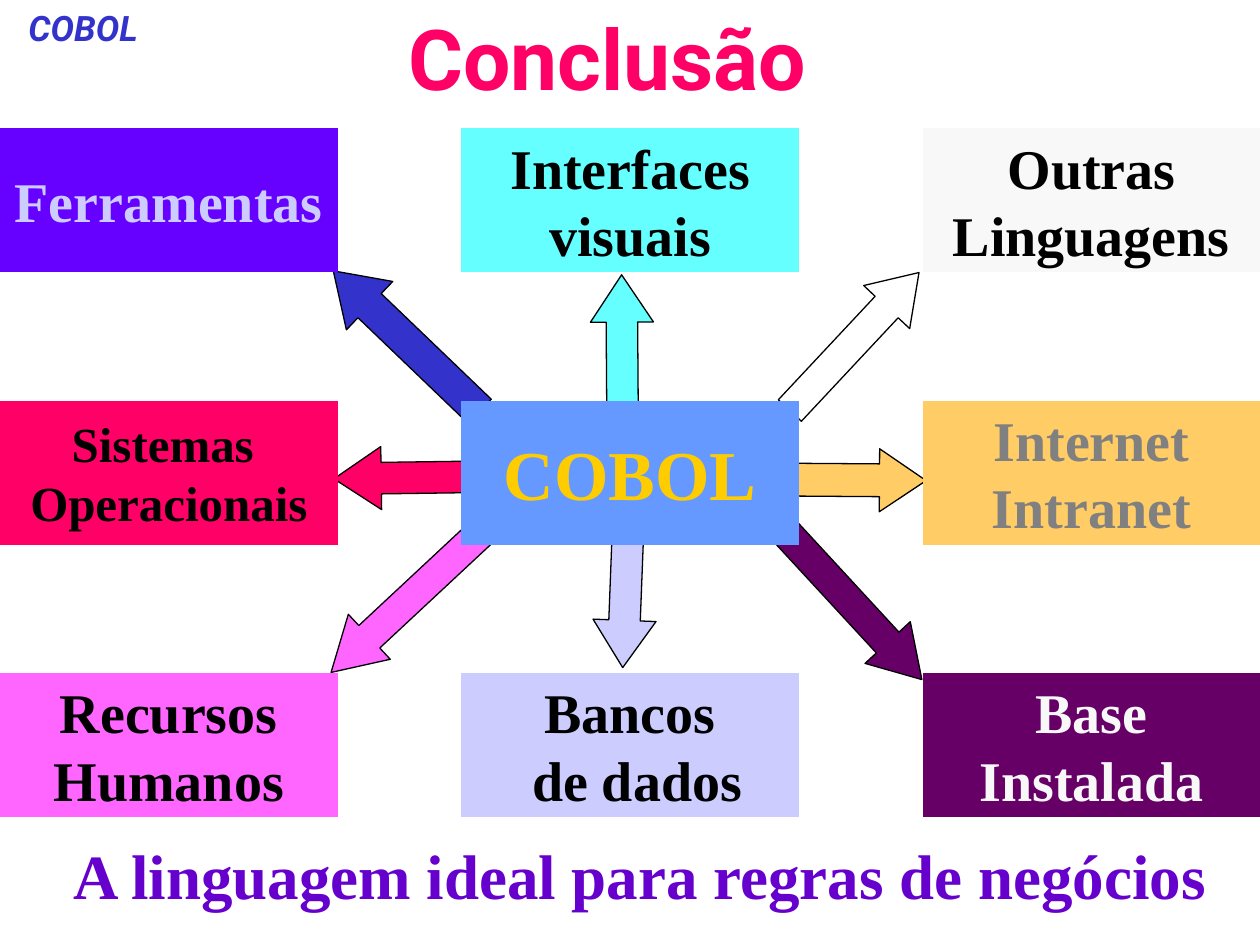
from pptx import Presentation
from pptx.dml.color import RGBColor
from pptx.enum.shapes import MSO_SHAPE
from pptx.enum.text import MSO_ANCHOR, MSO_AUTO_SIZE, PP_ALIGN
from pptx.util import Cm, Pt

HUES = {
    "black": "000000", "white": "FFFFFF", "pale": "F8F8F8", "gray": "808080",
    "sky": "6699FF", "gold": "FFCC00", "violet": "6600FF", "lilac": "CCCCFF",
    "cyan": "66FFFF", "red": "FF0066", "orange": "FFCC66", "pink": "FF66FF",
    "plum": "660066", "blue": "3333CC", "purple": "6600CC",
}
SERIF = "Times New Roman"
SANS = "Roboto"

WIDE, HIGH = 6.81, 2.9
TOP = 2.59
STEP_X, STEP_Y = 9.3, 5.49

ARROWS = [
    (6.1, 11.48, 4.27, 1.24, 137, 0.5, 0.85, "pink"),
    (10.72, 10.92, 3.81, 1.27, 92.2, 0.5, 0.75, "lilac"),
    (15.11, 11.56, 4.14, 1.24, 47.3, 0.5, 0.82, "plum"),
    (14.86, 9.04, 3.81, 1.27, 0.4, 0.52, 0.74, "orange"),
    (6.73, 8.99, 3.81, 1.27, 179.2, 0.5, 0.75, "red"),
    (15.32, 6.25, 3.81, 1.27, 313.1, 0.5, 0.75, "white"),
    (10.64, 6.81, 3.81, 1.27, 269.6, 0.5, 0.75, "cyan"),
    (6.15, 6.2, 4.09, 1.35, 223.8, 0.5, 0.75, "blue"),
]

BOXES = [
    (1, 1, ["COBOL"], 40, "sky", "gold"),
    (0, 0, ["Ferramentas"], 32, "violet", "lilac"),
    (1, 0, ["Interfaces", "visuais"], 32, "cyan", "black"),
    (2, 0, ["Outras", "Linguagens"], 32, "pale", "black"),
    (0, 1, ["Sistemas ", "Operacionais"], 28, "red", "black"),
    (2, 1, ["Internet", "Intranet"], 32, "orange", "gray"),
    (0, 2, ["Recursos", "Humanos"], 32, "pink", "black"),
    (1, 2, ["Bancos", " de dados"], 32, "lilac", "black"),
    (2, 2, ["Base", "Instalada"], 32, "plum", "pale"),
]


def color(name):
    return RGBColor.from_string(HUES[name])


def write(frame, lines, size, hue, face=SERIF, align=PP_ALIGN.CENTER, slant=False):
    for i, line in enumerate(lines):
        para = frame.add_paragraph() if i else frame.paragraphs[0]
        para.alignment = align
        run = para.add_run()
        run.text = line
        font = run.font
        font.name, font.size, font.bold = face, Pt(size), True
        if slant:
            font.italic = True
        font.color.rgb = color(hue)


def add_form(slide, kind, x, y, w, h, hue):
    form = slide.shapes.add_shape(kind, Cm(x), Cm(y), Cm(w), Cm(h))
    form.shadow.inherit = False
    form.fill.solid()
    form.fill.fore_color.rgb = color(hue)
    return form


def add_arrow(slide, x, y, w, h, turn, shaft, head, hue):
    arrow = add_form(slide, MSO_SHAPE.RIGHT_ARROW, x, y, w, h, hue)
    arrow.rotation = turn
    arrow.adjustments[0] = shaft
    arrow.adjustments[1] = head
    arrow.line.color.rgb = color("black")
    arrow.line.width = Pt(0.75)


def add_box(slide, col, row, lines, size, hue, ink):
    box = add_form(slide, MSO_SHAPE.FLOWCHART_PROCESS, col * STEP_X,
                   TOP + row * STEP_Y, WIDE, HIGH, hue)
    box.line.fill.background()
    frame = box.text_frame
    frame.word_wrap = False
    frame.vertical_anchor = MSO_ANCHOR.MIDDLE
    write(frame, lines, size, ink)


def add_label(slide, x, y, w, h, text, size, hue, wrap=True, **style):
    frame = slide.shapes.add_textbox(Cm(x), Cm(y), Cm(w), Cm(h)).text_frame
    frame.word_wrap = wrap
    frame.auto_size = MSO_AUTO_SIZE.SHAPE_TO_FIT_TEXT
    write(frame, [text], size, hue, **style)


def main():
    deck = Presentation()
    deck.slide_width, deck.slide_height = Cm(25.4), Cm(19.05)
    slide = deck.slides.add_slide(deck.slide_layouts[6])
    for arrow in ARROWS:
        add_arrow(slide, *arrow)
    add_label(slide, 0, 0, 3.35, 1.12, "COBOL", 20, "blue", face=SANS, slant=True)
    for box in BOXES:
        add_box(slide, *box)
    add_label(slide, 7.98, 0, 10.41, 2.29, "Conclusão", 48, "red",
              face=SANS, align=PP_ALIGN.LEFT)
    add_label(slide, 1.19, 16.74, 23.42, 1.78,
              "A linguagem ideal para regras de negócios", 36, "purple", wrap=False)
    deck.save("out.pptx")


if __name__ == "__main__":
    main()
